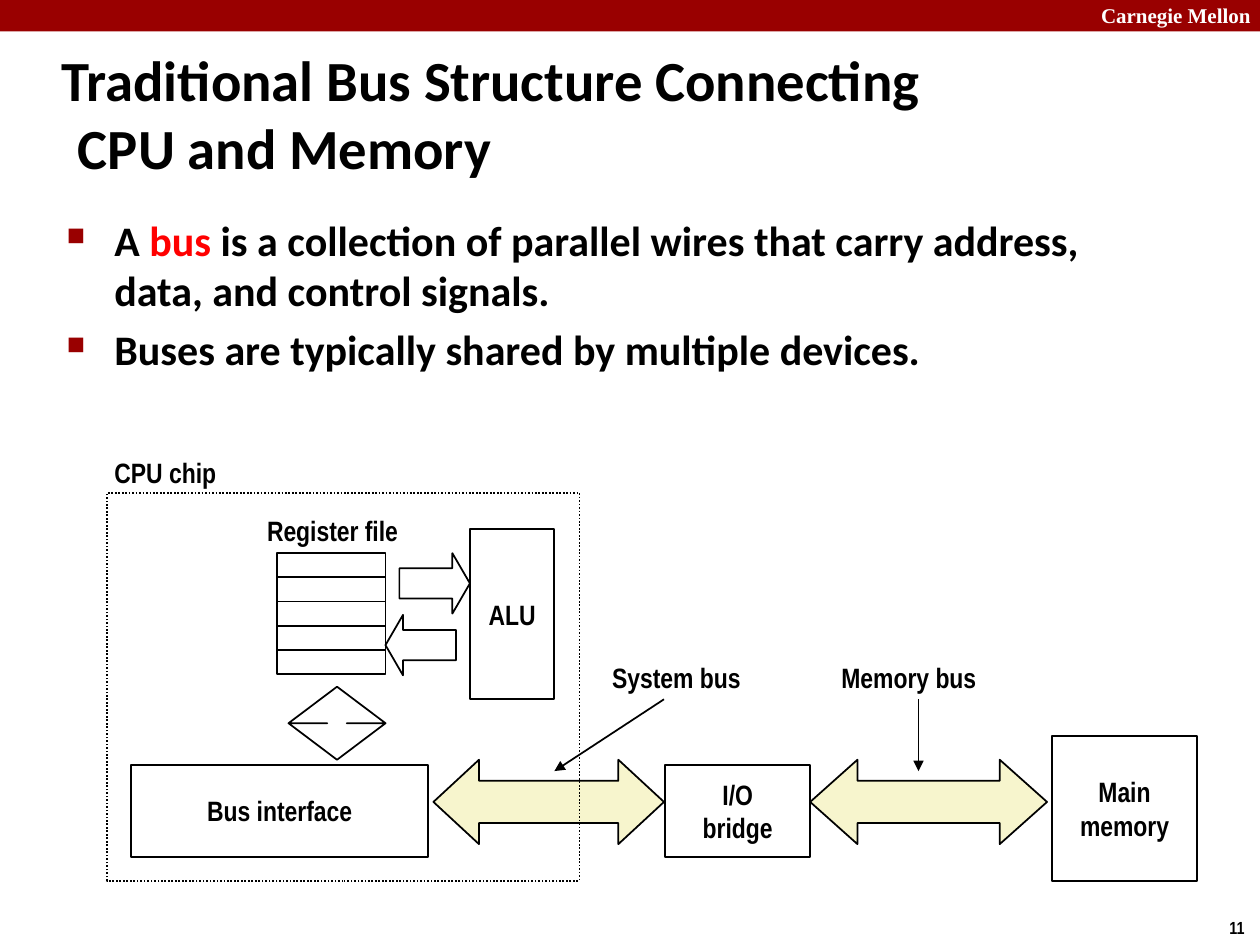
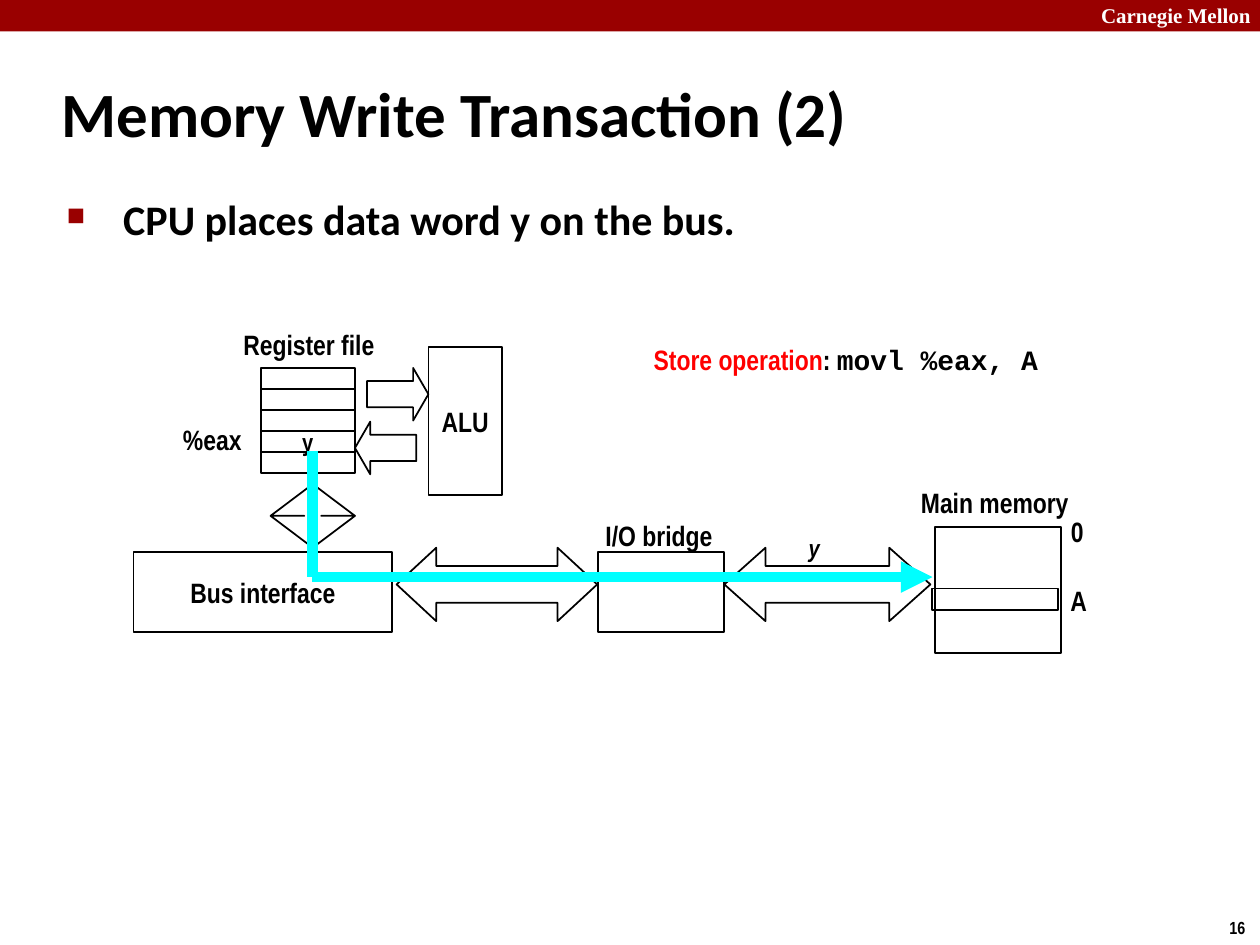
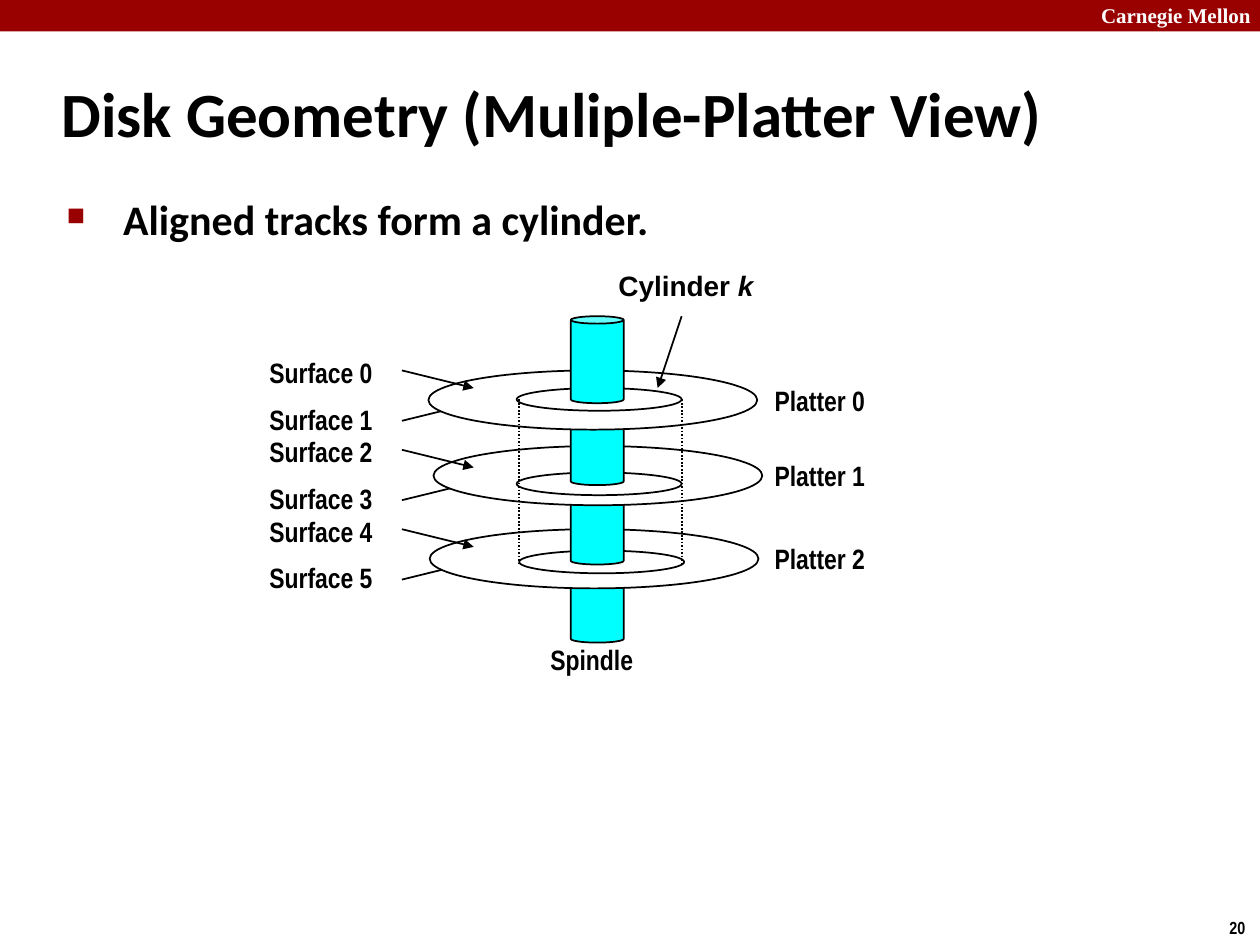
import pptx
import pptx.util
import pptx.dml.color
import pptx.enum.dml
import pptx.enum.shapes
import pptx.enum.text
import pptx.oxml.ns
from lxml import etree

Inches, Pt = pptx.util.Inches, pptx.util.Pt
SHAPE = pptx.enum.shapes.MSO_SHAPE
ALIGN = pptx.enum.text.PP_ALIGN
ANCHOR = pptx.enum.text.MSO_ANCHOR

COLORS = {
    "black": "000000",
    "white": "FFFFFF",
    "band": "990000",
    "highlight": "FF0000",
    "bus": "F7F5CD",
    "cyan": "00FFFF",
}
LABEL_FONT = "Arial Narrow"
TEXT_FONT = "Calibri"


def rgb(name):
    return pptx.dml.color.RGBColor.from_string(COLORS[name])


def add_xml(parent, tag, **attributes):
    return etree.SubElement(parent, pptx.oxml.ns.qn(tag), attributes)


def write(paragraph, pieces, size, font=LABEL_FONT, color="black"):
    """Write a string, or a list of (text, changes) runs, in bold."""
    if isinstance(pieces, str):
        paragraph.text = pieces
        changes = [{}] * len(paragraph.runs)
    else:
        for words, _ in pieces:
            paragraph.add_run().text = words
        changes = [change for _, change in pieces]
    for run, change in zip(paragraph.runs, changes):
        run.font.size = Pt(size)
        run.font.bold = True
        run.font.italic = change.get("italic")
        run.font.name = change.get("font", font)
        run.font.color.rgb = rgb(change.get("color", color))


class Region:
    """A part of a slide with its own origin and scale."""

    def __init__(self, slide, left=0, top=0, scale=1):
        self.shapes = slide.shapes
        self.left, self.top, self.scale = left, top, scale

    def point(self, x, y):
        return Inches(self.left + x * self.scale), Inches(self.top + y * self.scale)

    def outline(self, line, color, width, dotted):
        line.color.rgb = rgb(color)
        line.width = Pt(width)
        if dotted:
            line.dash_style = pptx.enum.dml.MSO_LINE.ROUND_DOT

    def shape(self, kind, x, y, width, height, text="", fill=None, adjust=(),
              size=16, line="black", dotted=False):
        shape = self.shapes.add_shape(
            kind, *self.point(x, y),
            Inches(width * self.scale), Inches(height * self.scale))
        shape.shadow.inherit = False
        for index, value in enumerate(adjust):
            shape.adjustments[index] = value
        if fill:
            shape.fill.solid()
            shape.fill.fore_color.rgb = rgb(fill)
        else:
            shape.fill.background()
        if line:
            self.outline(shape.line, line, 1, dotted)
        else:
            shape.line.fill.background()
        if text:
            frame = shape.text_frame
            frame.word_wrap = False
            frame.vertical_anchor = ANCHOR.MIDDLE
            for index, words in enumerate(text.split("\n")):
                paragraph = frame.paragraphs[0] if index == 0 else frame.add_paragraph()
                paragraph.alignment = ALIGN.CENTER
                write(paragraph, words, size)
        return shape

    def text_box(self, x, y, width, height, anchor=ANCHOR.TOP, wrap=True):
        """Add a text box whose size is not scaled."""
        box = self.shapes.add_textbox(*self.point(x, y), Inches(width), Inches(height))
        frame = box.text_frame
        frame.word_wrap = wrap
        frame.vertical_anchor = anchor
        return frame

    def label(self, pieces, x, y, width, height=0.37, anchor=ANCHOR.MIDDLE,
              align=ALIGN.LEFT, size=16, font=LABEL_FONT):
        frame = self.text_box(x, y, width, height, anchor, wrap=False)
        frame.auto_size = pptx.enum.text.MSO_AUTO_SIZE.SHAPE_TO_FIT_TEXT
        frame.paragraphs[0].alignment = align
        write(frame.paragraphs[0], pieces, size, font)

    def line(self, start, end, color="black", width=1, dotted=False, arrow=True):
        connector = self.shapes.add_connector(
            pptx.enum.shapes.MSO_CONNECTOR.STRAIGHT,
            *self.point(*start), *self.point(*end))
        self.outline(connector.line, color, width, dotted)
        if arrow:
            add_xml(connector.line._get_or_add_ln(), "a:tailEnd", type="triangle")
        add_xml(connector._element.spPr, "a:effectLst")


def add_bullets(page, top, bullets, hanging):
    frame = page.text_box(0.43, top, 8.64, 5.44)
    for index, pieces in enumerate(bullets):
        paragraph = frame.paragraphs[0] if index == 0 else frame.add_paragraph()
        if index:
            paragraph.space_before = Pt(4.8)
        properties = paragraph._p.get_or_add_pPr()
        properties.set("marL", str(Inches(hanging)))
        properties.set("indent", str(-Inches(hanging)))
        bullet_color = add_xml(properties, "a:buClr")
        add_xml(bullet_color, "a:srgbClr", val=COLORS["band"])
        add_xml(properties, "a:buSzPct", val="60000")
        add_xml(properties, "a:buChar", char="■")
        write(paragraph, pieces, 24, TEXT_FONT)


def new_page(deck, number, title, bullets, title_size=36, title_width=8.3,
             body_top=1.49, hanging=0.45):
    """Add a slide with band, title, bullets and slide number."""
    slide = deck.slides.add_slide(deck.slide_layouts[6])
    page = Region(slide)
    page.shape(SHAPE.RECTANGLE, 0, 0, 10, 0.25, fill="band", line=None)
    header = page.text_box(8.64, -0.03, 1.43, 0.3)
    write(header.paragraphs[0], "Carnegie Mellon", 12, "Times New Roman", "white")
    page.label(str(number), 9.66, 7.23, 0.34, 0.27, ANCHOR.TOP, size=10)

    heading = page.text_box(0.39, 0.48, title_width, 0.83, ANCHOR.MIDDLE).paragraphs[0]
    properties = heading._p.get_or_add_pPr()
    properties.set("marL", str(Inches(0.13)))
    properties.set("indent", str(-Inches(0.13)))
    write(heading, title, title_size, TEXT_FONT)
    add_bullets(page, body_top, bullets, hanging)
    return slide


def draw_bus_diagram(region, bridge="", memory="", bus_fill=None, registers=("",) * 5):
    """Draw CPU parts, buses, bridge and memory from the register file's top line."""
    region.shape(SHAPE.RECTANGLE, 7.31, 1.45, 1.15, 1.15, memory)
    region.shape(SHAPE.LEFT_RIGHT_ARROW, 5.39, 1.64, 1.88, 0.67,
                 fill=bus_fill, adjust=(0.5, 0.56))
    region.shape(SHAPE.RECTANGLE, 4.24, 1.68, 1.15, 0.73, bridge)
    region.shape(SHAPE.LEFT_RIGHT_ARROW, 2.4, 1.64, 1.83, 0.67,
                 fill=bus_fill, adjust=(0.5, 0.54))
    row_height = 0.96 / len(registers)
    for row, value in enumerate(registers):
        region.shape(SHAPE.RECTANGLE, 1.16, row * row_height, 0.86, row_height,
                     value, size=14)
    region.shape(SHAPE.RIGHT_ARROW, 2.13, 0, 0.56, 0.48, adjust=(0.5, 0.29))
    region.shape(SHAPE.LEFT_ARROW, 2.02, 0.49, 0.56, 0.48, adjust=(0.5, 0.29))
    region.shape(SHAPE.RECTANGLE, 2.69, -0.19, 0.67, 1.35, "ALU")
    region.label("Register file", 1.6 - 0.63 / region.scale, -0.37 / region.scale,
                 1.26, align=ALIGN.CENTER)
    region.shape(SHAPE.UP_DOWN_ARROW, 1.25, 1.06, 0.77, 0.58, adjust=(0.5, 0.2))
    region.shape(SHAPE.RECTANGLE, 0, 1.68, 2.36, 0.73, "Bus interface")


def draw_bus_names(region):
    region.shape(SHAPE.RECTANGLE, -0.19, -0.48, 3.75, 3.08, dotted=True)
    region.label("CPU chip", -0.23, -0.83, 1.19)
    region.label("System bus", 3.72, 0.8, 1.23)
    region.line((4.23, 1.16), (3.36, 1.73))
    region.label("Memory bus", 5.54, 0.8, 1.29)
    region.line((6.25, 1.16), (6.25, 1.73))


def draw_store_operation(region):
    """Show the path of y from register to memory, and the names around it."""
    region.label([("y", {"italic": True})], 5.26, 1.26, 0.31, 0.33, size=14)
    corner = (1.42, 1.66)
    region.line((1.42, 0.66), corner, "cyan", 6, arrow=False)
    region.line(corner, (6.34, 1.66), "cyan", 6)
    region.shape(SHAPE.RECTANGLE, 6.34, 1.75, 1, 0.17)
    for name, x, y, width in (
        ("Main memory", 6.14, 0.88, 1.39),
        ("0", 7.33, 1.11, 0.32),
        ("A", 7.32, 1.66, 0.36),
        ("%eax", 0.29, 0.38, 0.67),
        ("I/O bridge", 3.64, 1.14, 1.06),
    ):
        region.label(name, x, y, width, align=ALIGN.CENTER)
    region.label([("Store operation", {"color": "highlight"}), (": ", {}),
                  ("movl %eax, A", {"font": "Courier New"})],
                 4.03, -0.25, 3.3, 0.64, ANCHOR.TOP)


def draw_disk(region):
    """Stack the platters on the spindle, from the lowest up."""
    surface_pitch = 0.63
    spindle_tops = (0.43, 1.08, 1.71, 2.33)
    platters = ((1.36, 0.86), (1.4, 1.46), (1.37, 2.12))
    tracks = ((2.06, 1.0), (2.06, 1.67), (2.08, 2.29))

    def spindle_part(index):
        region.shape(SHAPE.CAN, 2.49, spindle_tops[index], 0.42, 0.69,
                     fill="cyan", adjust=(0.14,))

    for index in reversed(range(len(platters))):
        offset = index * surface_pitch
        platter_left, platter_top = platters[index]
        spindle_part(index + 1)
        region.line((1.15, 1.26 + offset), (1.72, 1.12 + offset))
        region.shape(SHAPE.OVAL, platter_left, platter_top, 2.61, 0.47, fill="white")
        region.shape(SHAPE.OVAL, *tracks[index], 1.31, 0.18)
        region.line((1.15, 0.86 + offset), (1.72, 1.0 + offset))
        region.label(f"Surface {2 * index}", 0, 0.69 + offset, 1.03)
        region.label(f"Surface {2 * index + 1}", 0, 1.06 + offset, 1.03)
        region.label(f"Platter {index}", 4.01, platter_top + 0.05, 0.93)
    spindle_part(0)

    for x in (2.08, 3.37):
        region.line((x, 1.09), (x, 2.4), dotted=True, arrow=False)
    region.label([("Cylinder ", {}), ("k", {"italic": True})], 2.77, 0, 1.3, font="Arial")
    region.line((3.37, 0.43), (3.18, 1))
    region.label("Spindle", 2.23, 2.97, 0.87)


def main():
    deck = pptx.Presentation()
    deck.slide_width, deck.slide_height = Inches(10), Inches(7.5)

    structure = new_page(
        deck, 11, "Traditional Bus Structure Connecting \vCPU and Memory",
        [[("A ", {}), ("bus", {"color": "highlight"}),
          (" is a collection of parallel wires that carry address, data, "
           "and control signals.", {})],
         "Buses are typically shared by multiple devices."],
        title_size=32.4, title_width=9.61, body_top=1.65, hanging=0.38)
    bus_region = Region(structure, 1.04, 4.39)
    draw_bus_diagram(bus_region, "I/O\nbridge", "Main\nmemory", "bus")
    draw_bus_names(bus_region)

    write_transaction = new_page(deck, 16, "Memory Write Transaction (2)",
                                 ["CPU places data word y on the bus."])
    draw_bus_diagram(Region(write_transaction, 1.06, 2.92, 0.87),
                     registers=("", "", "", "y", ""))
    draw_store_operation(Region(write_transaction, 1.06, 2.92))

    geometry = new_page(deck, 20, "Disk Geometry (Muliple-Platter View)",
                        ["Aligned tracks form a cylinder."])
    draw_disk(Region(geometry, 2.04, 2.08))

    deck.save("out.pptx")


if __name__ == "__main__":
    main()
